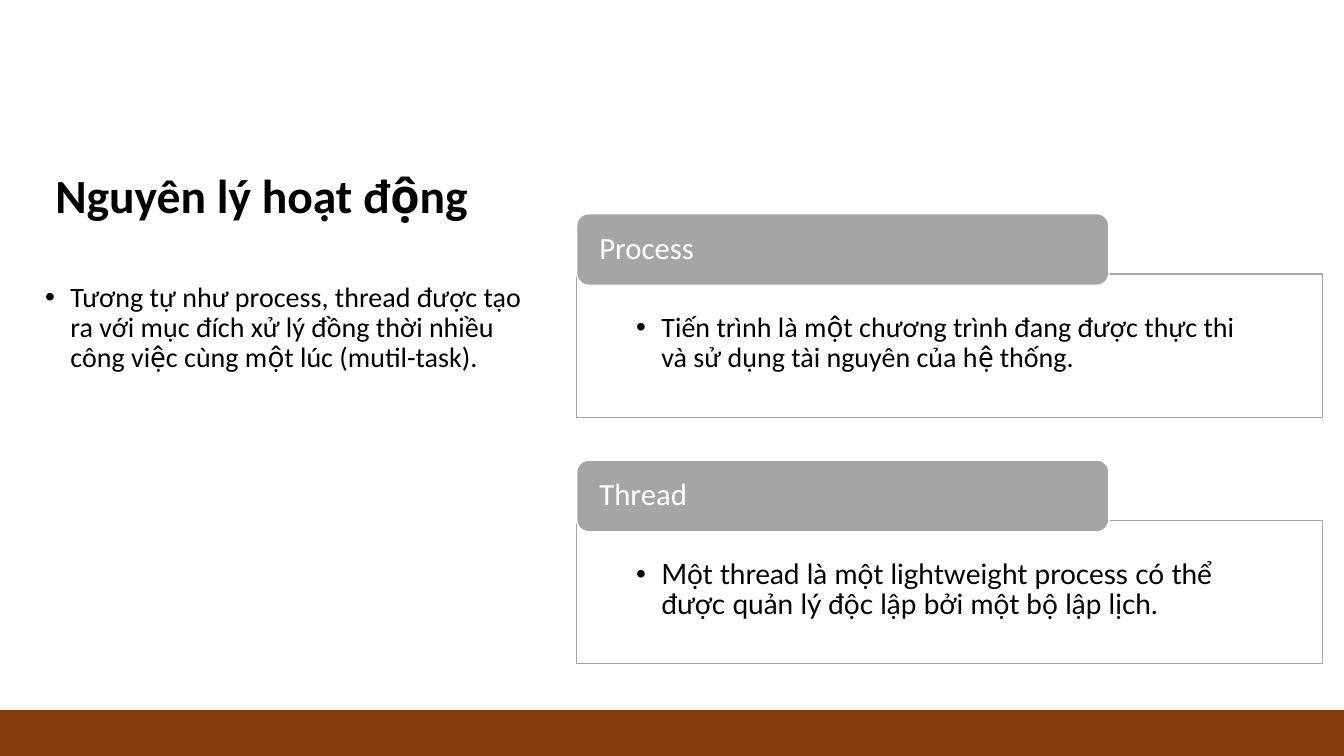
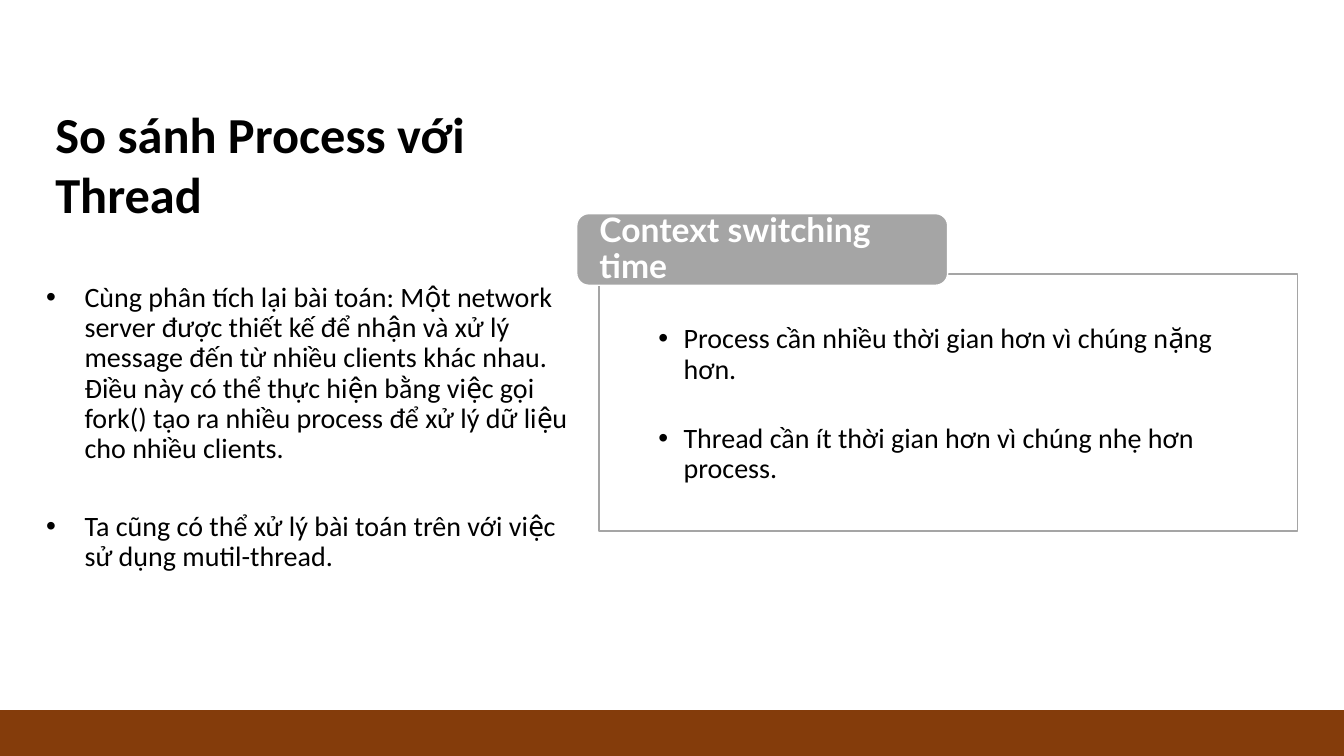
from typing import NamedTuple

from lxml.etree import SubElement
from pptx import Presentation
from pptx.dml.color import RGBColor
from pptx.enum.shapes import MSO_SHAPE as SHAPE
from pptx.enum.text import MSO_ANCHOR as ANCHOR, PP_ALIGN as ALIGN
from pptx.oxml.ns import qn
from pptx.util import Inches, Pt

WIDTH, HEIGHT = Inches(13.33), Inches(7.5)
BLACK, WHITE, GREY, BROWN = "000000", "FFFFFF", "A5A5A5", "843C0B"
FONT, ACCENT_FONT = "Calibri", "Lato"
BODY_SIZE = 20
TIGHT = 0.9
# Percent of the slide's height
TAB_HEIGHT, FRAME_DROP = 9.47, 8

# Vietnamese tones: grave, acute, hook above, tilde, dot below
TONES = "\u0300\u0301\u0309\u0303\u0323"
TONED_VOWELS = {
    "a": "àáảãạ", "ă": "ằắẳẵặ", "â": "ầấẩẫậ", "e": "èéẻẽẹ",
    "ê": "ềếểễệ", "i": "ìíỉĩị", "o": "òóỏõọ", "ô": "ồốổỗộ",
    "ơ": "ờớởỡợ", "u": "ùúủũụ", "ư": "ừứửữự", "y": "ỳýỷỹỵ",
}
SPLIT_TONES = str.maketrans({
    toned: vowel + tone
    for vowel, row in TONED_VOWELS.items() for toned, tone in zip(row, TONES)})


class Box(NamedTuple):
    """A region in percent of the slide's width and height."""
    left: float
    top: float
    width: float
    height: float

    def place(self):
        """Return the region as lengths for python-pptx."""
        return (int(WIDTH * self.left / 100), int(HEIGHT * self.top / 100),
                int(WIDTH * self.width / 100), int(HEIGHT * self.height / 100))


TITLE = Box(3.38, 14.4, 36.45, 15.87)
FOOTER = Box(0, 93.95, 100, 6.05)


def color(hex_code):
    """Turn a hex string into a colour."""
    return RGBColor.from_string(hex_code)


def split_tones(text):
    """Spell each tone as a combining mark after its vowel."""
    return text.translate(SPLIT_TONES)


def add_panel(slide, kind, box, fill, line=None):
    """Add a flat shape with an optional outline."""
    panel = slide.shapes.add_shape(kind, *box.place())
    panel.shadow.inherit = False
    panel.fill.solid()
    panel.fill.fore_color.rgb = color(fill)
    if line:
        panel.line.color.rgb = color(line)
        panel.line.width = Pt(1)
    else:
        panel.line.fill.background()
    return panel


def write(frame, texts, size, ink=BLACK, font=FONT, bold=False, spacing=TIGHT,
          gap=0, anchor=ANCHOR.TOP):
    """Fill a text frame with equally styled paragraphs, gap points apart."""
    frame.word_wrap = True
    frame.vertical_anchor = anchor
    for index, text in enumerate(texts):
        line = frame.add_paragraph() if index else frame.paragraphs[0]
        line.text = text
        line.alignment = ALIGN.LEFT
        line.line_spacing = spacing
        line.space_before = Pt(gap if index else 0)
        line.font.name, line.font.size = font, Pt(size)
        line.font.bold = bold
        line.font.color.rgb = color(ink)


def add_bullets(frame, margin, hang):
    """Give every paragraph a bullet with a hanging indent in inches."""
    for line in frame.paragraphs:
        properties = line._p.get_or_add_pPr()
        properties.set("marL", str(Inches(margin)))
        properties.set("indent", str(-Inches(hang)))
        SubElement(properties, qn("a:buFont")).set("typeface", "Arial")
        SubElement(properties, qn("a:buChar")).set("char", "•")


def set_insets(frame, side, top=0, bottom=0):
    """Set the inner margins of a text frame in inches."""
    frame.margin_left = frame.margin_right = Inches(side)
    frame.margin_top, frame.margin_bottom = Inches(top), Inches(bottom)


def start_slide(deck, title, size, spacing):
    """Add a blank slide with the title and the footer band."""
    slide = deck.slides.add_slide(deck.slide_layouts[6])
    heading = slide.shapes.add_textbox(*TITLE.place()).text_frame
    write(heading, [split_tones(title)], size, bold=True, spacing=spacing,
          anchor=ANCHOR.BOTTOM)
    add_panel(slide, SHAPE.RECTANGLE, FOOTER, BROWN)
    return slide


def add_explanation(slide, box, points, margin, hang):
    """Place the bulleted explanation below the title."""
    body = slide.shapes.add_textbox(*box.place()).text_frame
    write(body, map(split_tones, points), BODY_SIZE, gap=34)
    add_bullets(body, margin, hang)


def add_card(slide, box, label, points, tab_width, tab_size=22, indent=0,
             tab_font=FONT, body_font=FONT, bold=False, text_top=0.5):
    """Place an outlined card with a label tab over its top left corner."""
    frame_box = Box(box.left + indent, box.top + FRAME_DROP,
                    box.width - indent, box.height - FRAME_DROP)
    body = add_panel(slide, SHAPE.RECTANGLE, frame_box, WHITE, GREY).text_frame
    set_insets(body, 0.59, text_top, 0.17)
    write(body, points, BODY_SIZE, font=body_font, gap=28)
    add_bullets(body, 0.25, 0.25)

    tab_box = Box(box.left, box.top, tab_width, TAB_HEIGHT)
    tab = add_panel(slide, SHAPE.ROUNDED_RECTANGLE, tab_box, GREY, WHITE)
    set_insets(tab.text_frame, 0.19)
    write(tab.text_frame, [label], tab_size, WHITE, tab_font, bold,
          anchor=ANCHOR.MIDDLE)


def build_principle(deck):
    """Build the slide that defines process and thread."""
    slide = start_slide(deck, "Nguyên lý hoạt động", 34, TIGHT)
    add_explanation(slide, Box(1.65, 36.8, 38.18, 50.93), [
        "Tương tự như process, thread được tạo ra với mục đích xử lý "
        "đồng thời nhiều công việc cùng một lúc (mutil-task)."],
        0.38, 0.25)
    definitions = [
        ("Process", FONT, split_tones(
            "Tiến trình là một chương trình đang được thực thi "
            "và sử dụng tài nguyên của hệ thống.")),
        ("Thread", ACCENT_FONT,
            "Một thread là một lightweight process có thể "
            "được quản lý độc lập bởi một bộ lập lịch."),
    ]
    for row, (term, font, meaning) in enumerate(definitions):
        add_card(slide, Box(42.91, 28.27 + row * 32.6, 55.5, 26.93), term,
                 [meaning], 39.6, body_font=font, text_top=0.39)


def build_comparison(deck):
    """Build the slide that compares process with thread."""
    slide = start_slide(deck, "So sánh Process với Thread", 36, 1.0)
    add_explanation(slide, Box(1.65, 36.8, 41.4, 50.93), [
        "Cùng phân tích lại bài toán: Một network server được thiết kế "
        "để nhận và xử lý message đến từ nhiều clients khác nhau. "
        "Điều này có thể thực hiện bằng việc gọi fork() tạo ra nhiều "
        "process để xử lý dữ liệu cho nhiều clients.",
        "Ta cũng có thể xử lý bài toán trên với việc sử dụng "
        "mutil-thread."], 0.52, 0.38)
    differences = [
        "Process cần nhiều thời gian hơn vì chúng nặng hơn.",
        "Thread cần ít thời gian hơn vì chúng nhẹ hơn process."]
    add_card(slide, Box(42.91, 28.27, 53.64, 42), "Context switching time",
             map(split_tones, differences), 27.6, tab_size=24, indent=1.65,
             tab_font=ACCENT_FONT, bold=True)


def main():
    """Build and save the presentation."""
    deck = Presentation()
    deck.slide_width, deck.slide_height = WIDTH, HEIGHT
    build_principle(deck)
    build_comparison(deck)
    deck.save("out.pptx")


main()
